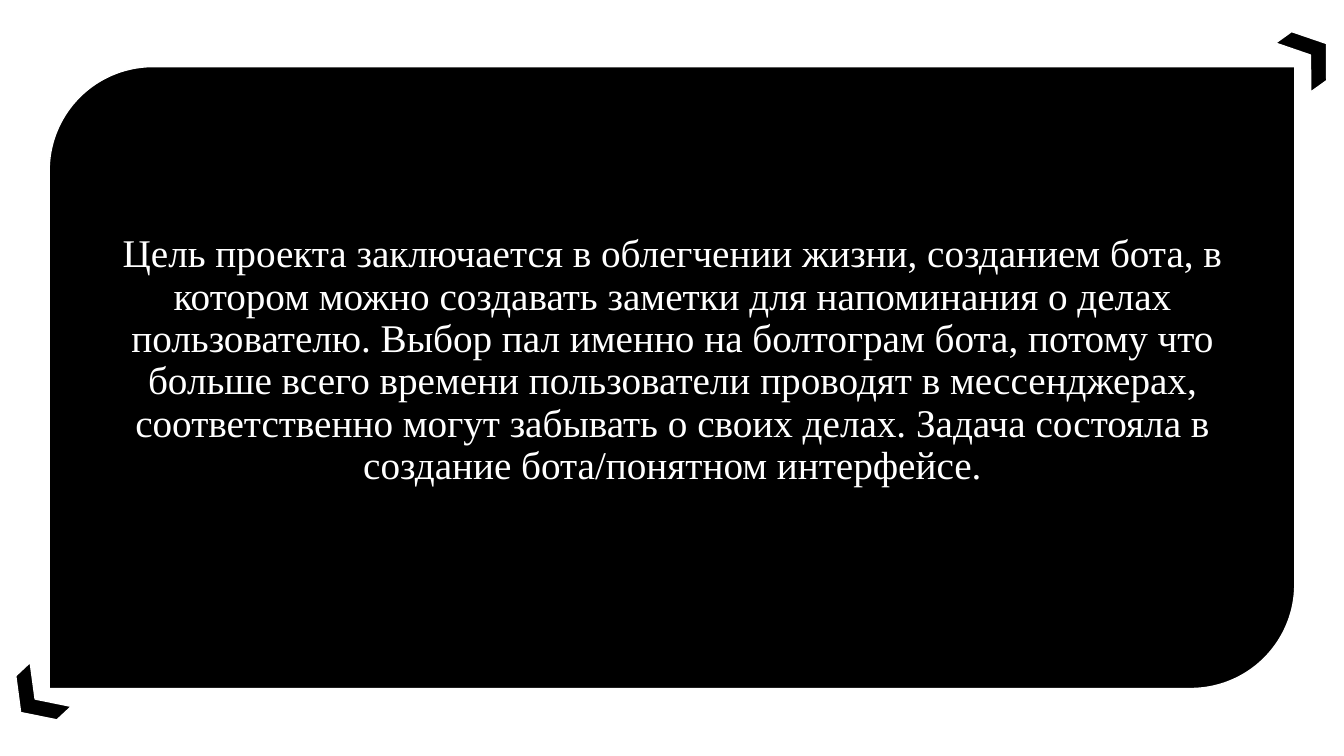
"""Builds the project goal slide: a rounded black panel with text and two corner chevrons."""
from dataclasses import dataclass

from lxml import etree
from pptx import Presentation
from pptx.dml.color import RGBColor
from pptx.enum.shapes import MSO_SHAPE
from pptx.enum.text import MSO_ANCHOR, MSO_AUTO_SIZE, PP_ALIGN
from pptx.oxml.ns import qn
from pptx.slide import Slide
from pptx.util import Cm, Pt

PANEL = MSO_SHAPE.ROUND_2_DIAG_RECTANGLE
CHEVRON = MSO_SHAPE.CHEVRON
CENTER = PP_ALIGN.CENTER
TOP = MSO_ANCHOR.TOP
NO_AUTOFIT = MSO_AUTO_SIZE.NONE
CONTENT_LAYOUT = 1


@dataclass(frozen=True)
class Theme:
    dark: RGBColor = RGBColor(0, 0, 0)
    light: RGBColor = RGBColor(255, 255, 255)
    font: str = "Times New Roman"
    body: Pt = Pt(28)
    outline: Pt = Pt(1)


@dataclass(frozen=True)
class Figure:
    kind: int
    left: float
    top: float
    width: float
    height: float
    adjustment: float
    rotation: float = 0


THEME = Theme()
FIGURES = (
    Figure(PANEL, 1.24, 1.68, 31.39, 15.67, 0.167),
    Figure(CHEVRON, 32.49, 0.64, 1.04, 1.52, 0.521, 324.4),
    Figure(CHEVRON, 0.38, 16.84, 1.04, 1.52, 0.521, 136.9),
)
GOAL = (
    "Цель проекта заключается в облегчении жизни, созданием бота, в котором можно "
    "создавать заметки для напоминания о делах пользователю. Выбор пал именно на "
    "болтограм бота, потому что больше всего времени пользователи проводят в "
    "мессенджерах, соответственно могут забывать о своих делах. Задача состояла в "
    "создание бота/понятном интерфейсе."
)


def add_figure(s: Slide, figure: Figure) -> None:
    sp = s.shapes.add_shape(
        figure.kind, Cm(figure.left), Cm(figure.top), Cm(figure.width), Cm(figure.height)
    )
    sp.adjustments[0] = figure.adjustment
    sp.rotation = figure.rotation
    sp.shadow.inherit = False
    sp.fill.solid()
    sp.fill.fore_color.rgb = THEME.dark
    sp.line.color.rgb = THEME.light
    sp.line.width = THEME.outline


def fill_goal(s: Slide) -> None:
    sp = s.placeholders[1]
    sp.left, sp.top, sp.width, sp.height = Cm(2.39), Cm(5.77), Cm(29.11), Cm(5.74)
    tf = sp.text_frame
    tf.text = GOAL
    tf.word_wrap = True
    tf.auto_size = NO_AUTOFIT
    tf.vertical_anchor = TOP
    p = tf.paragraphs[0]
    p.alignment = CENTER
    p.line_spacing = 0.9
    p.space_before = Pt(10)
    properties = p._p.get_or_add_pPr()
    properties.set("marL", "0")
    properties.set("indent", "0")
    etree.SubElement(properties, qn("a:buNone"))
    r = p.runs[0]
    r.font.name = THEME.font
    r.font.size = THEME.body
    r.font.color.rgb = THEME.light


def main() -> None:
    prs = Presentation()
    prs.slide_width, prs.slide_height = Cm(33.87), Cm(19.05)
    s = prs.slides.add_slide(prs.slide_layouts[CONTENT_LAYOUT])
    title = s.shapes.title.element
    title.getparent().remove(title)
    for figure in FIGURES:
        add_figure(s, figure)
    fill_goal(s)
    body = s.placeholders[1].element
    body.getparent().append(body)
    prs.save("out.pptx")


if __name__ == "__main__":
    main()
